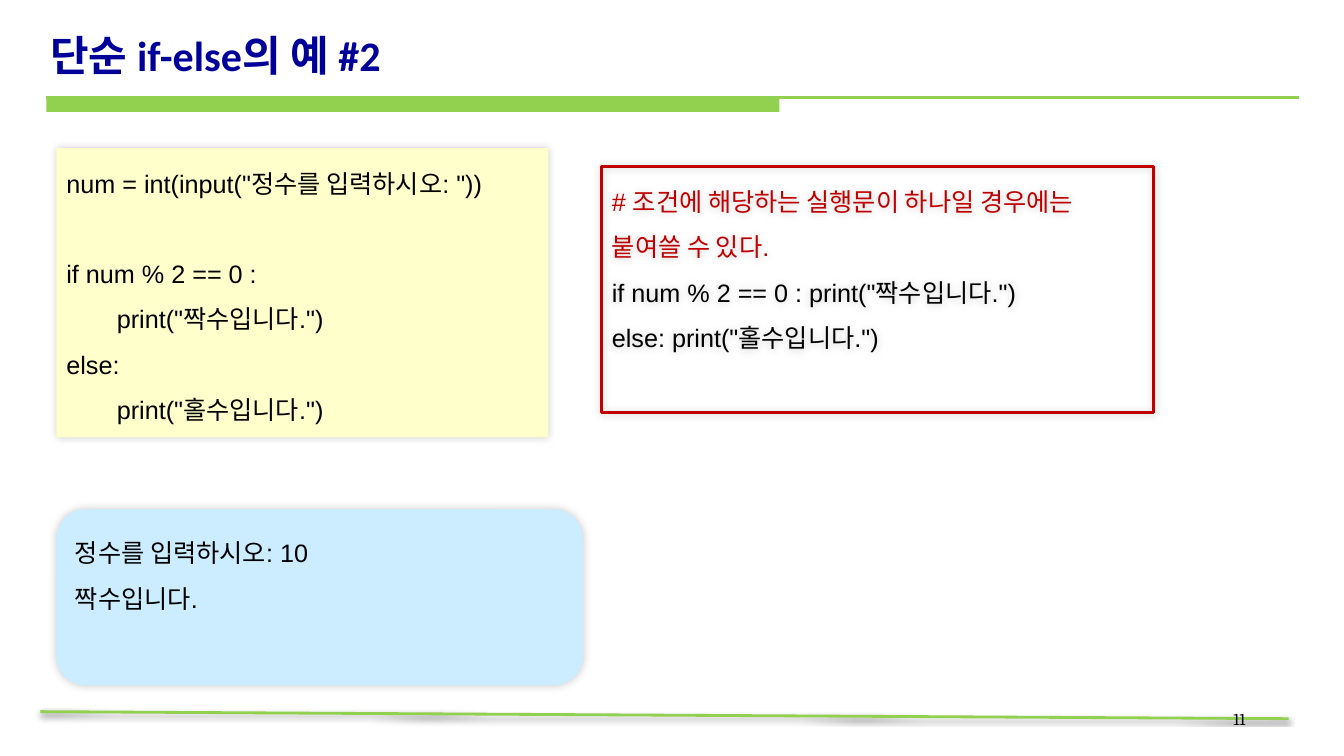
import pptx
import pptx.dml.color
import pptx.enum.shapes
import pptx.enum.text
import pptx.oxml
import pptx.oxml.ns
import pptx.util

PX = 9144  # EMU per px, 100 px to the inch
COLORS = {
    "title": "000099",
    "rule": "92D050",
    "code": "FFFFCC",
    "output": "CCECFF",
    "accent": "C00000",
    "text": "000000",
}
SHAPES = pptx.enum.shapes.MSO_SHAPE
ALIGN = pptx.enum.text.PP_ALIGN
ANCHOR = pptx.enum.text.MSO_ANCHOR


def px(*lengths):
    return [pptx.util.Emu(length * PX) for length in lengths]


def rgb(name):
    return pptx.dml.color.RGBColor.from_string(COLORS[name])


class LessonSlide:
    """Holds the text style and the current slide."""

    font = "Arial"
    size = 18
    spacing = 1.5
    blank_line = 32  # points taken by one empty line

    def __init__(self, presentation):
        self.slide = presentation.slides.add_slide(presentation.slide_layouts[6])

    def shadow(self, effects, opacity, blur, distance, angle):
        effects.append(pptx.oxml.parse_xml(
            f'<a:outerShdw {pptx.oxml.ns.nsdecls("a")} blurRad="{round(blur * 12700)}" '
            f'dist="{round(distance * 12700)}" dir="{angle * 60000}" algn="ctr" rotWithShape="0">'
            f'<a:srgbClr val="{COLORS["text"]}"><a:alpha val="{opacity * 1000}"/></a:srgbClr>'
            '</a:outerShdw>'))

    def line(self, start, end, width):
        connector = self.slide.shapes.add_connector(
            pptx.enum.shapes.MSO_CONNECTOR.STRAIGHT, *px(*start, *end))
        connector.line.color.rgb = rgb("rule")
        connector.line.width = pptx.util.Pt(width)
        effects = pptx.oxml.parse_xml(f'<a:effectLst {pptx.oxml.ns.nsdecls("a")}/>')
        connector._element.spPr.append(effects)
        return effects

    def shape(self, kind, box, fill=None, border=None):
        shape = self.slide.shapes.add_shape(kind, *px(*box))
        shape.shadow.inherit = False
        if fill:
            shape.fill.solid()
            shape.fill.fore_color.rgb = rgb(fill)
        else:
            shape.fill.background()
        if border:
            shape.line.color.rgb = rgb(border)
            shape.line.width = pptx.util.Pt(2.25)
        else:
            shape.line.fill.background()
        return shape

    def panel(self, kind, box, lines, fill=None, border=None, accent_lines=0):
        shape = self.shape(kind, box, fill, border)
        self.shadow(shape._element.spPr.find(pptx.oxml.ns.qn("a:effectLst")), 20, 6, 0, 315)
        frame = shape.text_frame
        frame.word_wrap = True
        frame.vertical_anchor = ANCHOR.TOP
        # An empty string in lines becomes space before the next line
        gap = 0
        paragraph = frame.paragraphs[0]
        for index, line in enumerate(lines):
            if not line:
                gap += self.blank_line
                continue
            if index:
                paragraph = frame.add_paragraph()
            paragraph.text = line
            paragraph.alignment = ALIGN.LEFT
            paragraph.line_spacing = self.spacing
            if gap:
                paragraph.space_before = pptx.util.Pt(gap)
                gap = 0
            self.style(paragraph, "accent" if index < accent_lines else "text")

    def style(self, paragraph, color, size=None, font=None, bold=False):
        for run in paragraph.runs:
            run.font.name = font or self.font
            run.font.size = pptx.util.Pt(size or self.size)
            run.font.bold = bold
            run.font.color.rgb = rgb(color)

    def label(self, box, text, color, size, font, align, anchor, bold=False):
        frame = self.slide.shapes.add_textbox(*px(*box)).text_frame
        frame.word_wrap = True
        frame.vertical_anchor = anchor
        frame.text = text
        frame.paragraphs[0].alignment = align
        self.style(frame.paragraphs[0], color, size, font, bold)


def main():
    presentation = pptx.Presentation()
    presentation.slide_width, presentation.slide_height = px(1333, 750)
    lesson = LessonSlide(presentation)

    # Footer rule, title bar and title rule
    lesson.shadow(lesson.line((40, 706), (1278, 713), 2), 38, 3.1, 1.6, 90)
    lesson.shape(SHAPES.RECTANGLE, (46, 97, 727, 14), "rule")
    lesson.line((46, 97), (1288, 97), 2.25)

    # Title
    lesson.label((40, 9, 1248, 75), "단순 if-else의 예 #2", "title", 30, "Calibri",
                 ALIGN.LEFT, ANCHOR.BOTTOM, bold=True)

    # Program and its output
    lesson.panel(SHAPES.RECTANGLE, (56, 147, 488, 287), [
        'num = int(input("정수를 입력하시오: "))',
        "",
        "if num % 2 == 0 :",
        '\tprint("짝수입니다.")',
        "else:",
        '\tprint("홀수입니다.")',
    ], fill="code")
    lesson.panel(SHAPES.FLOWCHART_ALTERNATE_PROCESS, (56, 505, 522, 175), [
        "정수를 입력하시오: 10",
        "짝수입니다.",
    ], fill="output")

    # Page number
    lesson.label((956, 698, 289, 52), "11", "text", 12, "Cambria", ALIGN.RIGHT, ANCHOR.TOP)

    # One-line form of the same program
    lesson.panel(SHAPES.RECTANGLE, (597, 165, 547, 244), [
        "# 조건에 해당하는 실행문이 하나일 경우에는",
        "붙여쓸 수 있다.",
        'if num % 2 == 0 : print("짝수입니다.")',
        'else: print("홀수입니다.")',
    ], border="accent", accent_lines=2)

    presentation.save("out.pptx")


if __name__ == "__main__":
    main()
